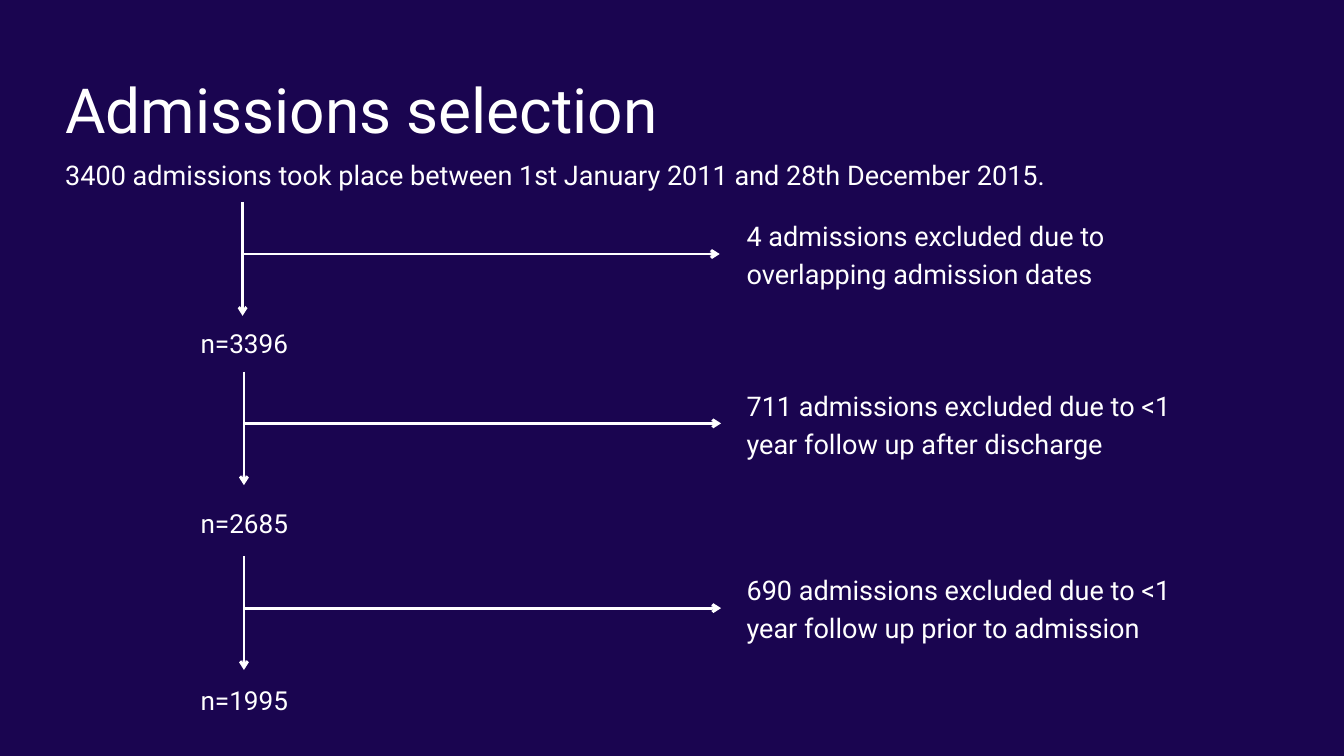
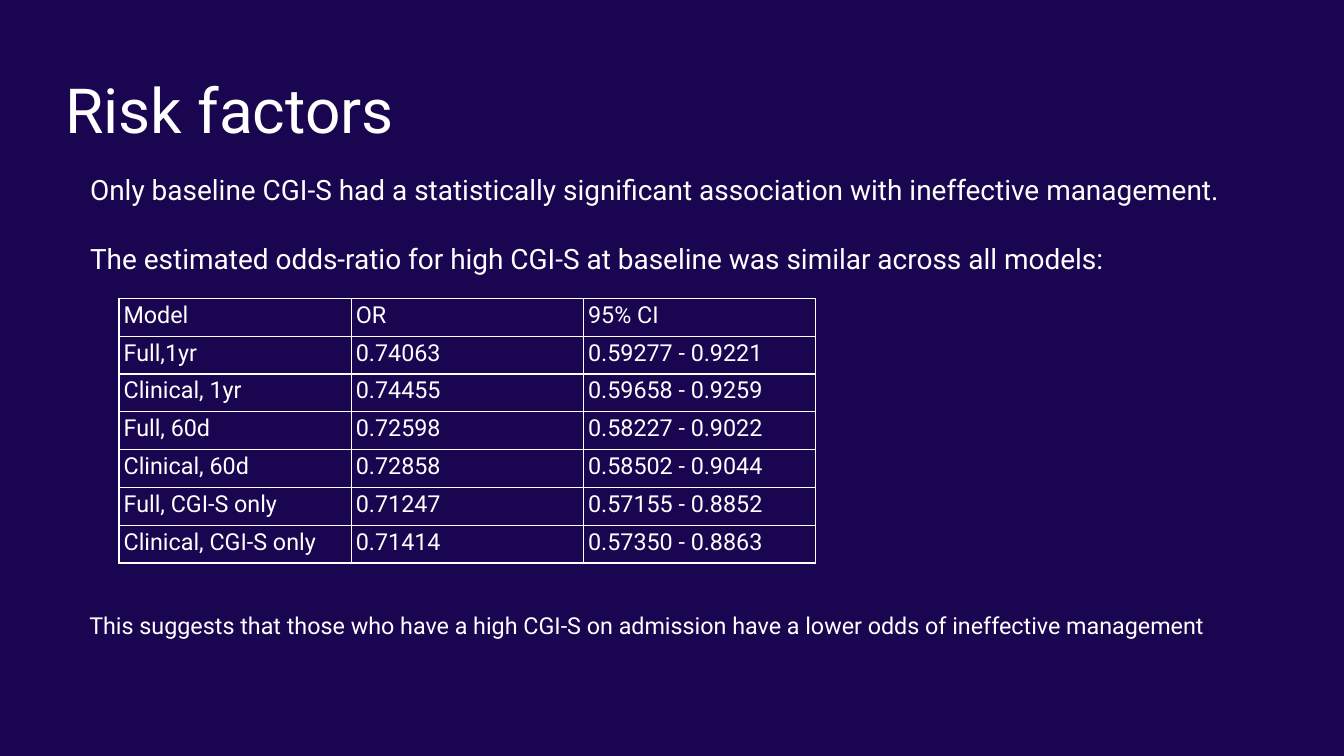
from pptx import Presentation
from pptx import util as u
from pptx.dml import color
from pptx.enum import shapes, text
from pptx.oxml import parse_xml, ns

FONT = "Roboto"
BACK = "1A0550"
INK = "FFFFFF"
LEFT = text.PP_ALIGN.LEFT
MID = text.PP_ALIGN.CENTER
NS = ns.nsdecls("a")
EDGE = '<a:solidFill %s><a:srgbClr val="%s"/></a:solidFill>' % (NS, INK)


def paint(fill, tone):
    fill.solid()
    fill.fore_color.rgb = color.RGBColor.from_string(tone)


def write(frame, lines, size, step=None, align=LEFT, gap=0, inset=0):
    look = {
        "word_wrap": True,
        "auto_size": text.MSO_AUTO_SIZE.NONE,
        "vertical_anchor": text.MSO_ANCHOR.TOP,
    }
    for side in ("left", "right"):
        look["margin_" + side] = u.Inches(inset)
    for side in ("top", "bottom"):
        look["margin_" + side] = u.Inches(inset / 2)
    for name, val in look.items():
        setattr(frame, name, val)
    frame.text = "\n".join(lines)
    for num, par in enumerate(frame.paragraphs):
        form = {
            "alignment": align,
            "line_spacing": u.Pt(step) if step else 1.0,
            "space_before": u.Pt(gap if num else 0),
        }
        for name, val in form.items():
            setattr(par, name, val)
        for run in par.runs:
            for name, val in {"name": FONT, "size": u.Pt(size), "bold": False}.items():
                setattr(run.font, name, val)
            paint(run.font.fill, INK)


deck = Presentation()
deck.slide_width, deck.slide_height = u.Inches(20), u.Inches(11.25)

heads = [
    ("Admissions selection", (0.97, 2.27, 16.03, 0.55),
     ["3400 admissions took place between 1st January 2011 and 28th December 2015."],
     {"size": 29, "step": 40.6}),
    ("Risk factors", (1.24, 2.52, 17.22, 1.62),
     ["Only baseline CGI-S had a statistically significant association with ineffective management.",
      "The estimated odds-ratio for high CGI-S at baseline was similar across all models:"],
     {"size": 30, "gap": 37.5, "inset": 0.1}),
]
pages = []
for head, place, lines, form in heads:
    page = deck.slides.add_slide(deck.slide_layouts[1])
    paint(page.background.fill, BACK)
    title, body = page.placeholders
    for box, spot in ((title, (0.97, 1.25, 17.75, 0.97)), (body, place)):
        for name, val in zip(("left", "top", "width", "height"), spot):
            setattr(box, name, u.Inches(val))
    write(title.text_frame, [head], 66.6, 66.6)
    write(body.text_frame, lines, **form)
    for par in body.text_frame.paragraphs:
        props = par._p.get_or_add_pPr()
        for name in ("marL", "indent"):
            props.set(name, "0")
        props.append(parse_xml("<a:buNone %s/>" % NS))
    pages.append(page)
flow, risk = pages

steps = [
    (3.61, 3.01, "4 admissions excluded due to overlapping admission dates", 4.8, "n=3396"),
    (3.63, 5.53, "711 admissions excluded due to <1 year follow up after discharge", 7.47, "n=2685"),
    (3.63, 8.28, "690 admissions excluded due to <1 year follow up prior to admission", 10.1, "n=1995"),
]
for x, top, cause, low, count in steps:
    side = top + 0.77
    for ends in ((x, top, x, top + 1.69), (x, side, x + 7.1, side)):
        line = flow.shapes.add_connector(
            shapes.MSO_CONNECTOR.STRAIGHT, *[u.Inches(end) for end in ends])
        line.line.width = u.Pt(3)
        paint(line.line.fill, INK)
        line.line._get_or_add_ln().append(parse_xml('<a:tailEnd %s type="arrow"/>' % NS))
        line._element.spPr.append(parse_xml("<a:effectLst %s/>" % NS))
    note = flow.shapes.add_textbox(*map(u.Inches, (11.11, top + 0.18, 6.56, 1.12)))
    write(note.text_frame, [cause], 29, 40.6)
    label = flow.shapes.add_textbox(*map(u.Inches, (2.74, low, 1.79, 0.51)))
    write(label.text_frame, [count], 28, 39.2, MID)

rows = [
    ("Model", "OR", "95% CI"),
    ("Full,1yr", "0.74063", "0.59277 - 0.9221"),
    ("Clinical, 1yr", "0.74455", "0.59658 - 0.9259"),
    ("Full, 60d", "0.72598", "0.58227 - 0.9022"),
    ("Clinical, 60d", "0.72858", "0.58502 - 0.9044"),
    ("Full, CGI-S only", "0.71247", "0.57155 - 0.8852"),
    ("Clinical, CGI-S only", "0.71414", "0.57350 - 0.8863"),
]
grid = risk.shapes.add_table(
    len(rows), 3, *map(u.Inches, (1.77, 4.44, 10.37, 3.94))).table
grid.first_row = grid.horz_banding = False
for r, row in enumerate(rows):
    for c, word in enumerate(row):
        cell = grid.cell(r, c)
        write(cell.text_frame, [word], 25, 25.2)
        cell.vertical_anchor = text.MSO_ANCHOR.MIDDLE
        for side in ("left", "right", "top", "bottom"):
            setattr(cell, "margin_" + side, u.Inches(0.07))
        for side in "LRTB":
            cell._tc.get_or_add_tcPr().append(parse_xml(
                '<a:ln%s %s w="%d">%s</a:ln%s>' % (side, NS, u.Pt(1.5), EDGE, side)))
        cell.fill.background()

close = risk.shapes.add_textbox(*map(u.Inches, (1.23, 9.04, 17.75, 0.52)))
write(close.text_frame, [
    "This suggests that those who have a high CGI-S on admission have a lower odds of ineffective management",
], 25, inset=0.1)

deck.save("out.pptx")
